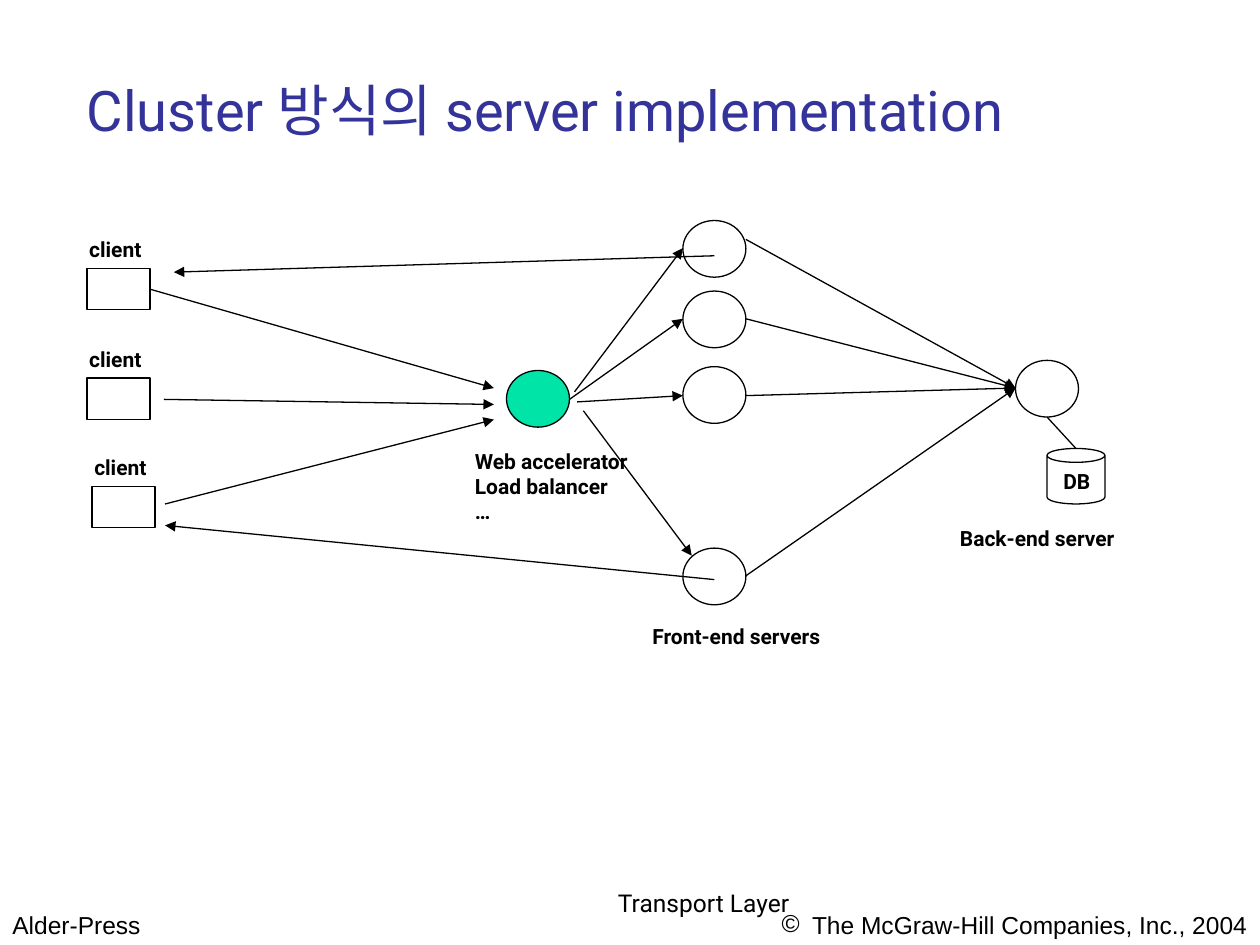
from typing import NamedTuple

from lxml import etree
from pptx import Presentation
from pptx.dml.color import RGBColor
from pptx.enum.shapes import MSO_CONNECTOR, MSO_SHAPE
from pptx.enum.text import MSO_ANCHOR, PP_ALIGN
from pptx.oxml.ns import qn
from pptx.util import Inches, Pt

RECT, ELLIPSE, CAN = MSO_SHAPE.RECTANGLE, MSO_SHAPE.OVAL, MSO_SHAPE.CAN
STRAIGHT = MSO_CONNECTOR.STRAIGHT
LEFT, CENTER, RIGHT = PP_ALIGN.LEFT, PP_ALIGN.CENTER, PP_ALIGN.RIGHT
TOP, BOTTOM = MSO_ANCHOR.TOP, MSO_ANCHOR.BOTTOM
TITLE_ONLY = 5
RIGHT_SIDE = 3

COLORS = {"ink": "000000", "title": "333399", "balancer": "00E4A8"}
LABEL = {"name": "Roboto", "size": Pt(12), "bold": True}
FOOTER = {"name": "Arial", "size": Pt(14), "bold": False}
LAYER = {"name": "Roboto", "size": Pt(14), "bold": False}
TITLE = {"name": "Roboto", "size": Pt(32), "bold": False}


class Box(NamedTuple):
    left: float
    top: float
    width: float
    height: float

    def lengths(self):
        return [Inches(v) for v in self]


class Node(NamedTuple):
    kind: MSO_SHAPE
    box: Box
    fill: str = ""


class Label(NamedTuple):
    box: Box
    lines: tuple
    font: dict = LABEL
    align: PP_ALIGN = LEFT
    anchor: MSO_ANCHOR = TOP
    wrap: bool = False
    bullet: str = ""


class Link(NamedTuple):
    start: tuple
    end: tuple
    arrow: bool = True


def circle(left: float, top: float, fill: str = "") -> Node:
    return Node(ELLIPSE, Box(left, top, 0.5, 0.45), fill)


CLIENTS = [Node(RECT, Box(left, top, 0.5, 0.33))
           for left, top in ((0.69, 2.13), (0.69, 3), (0.73, 3.86))]
SERVERS = [circle(5.42, top) for top in (1.75, 2.31, 2.91, 4.35)]
OTHER_NODES = [
    circle(4.02, 2.94, "balancer"),
    circle(8.06, 2.86),
    Node(CAN, Box(8.31, 3.56, 0.46, 0.44)),
]
LABELS = [
    Label(Box(0, 7.17, 2.42, 0.33), ("Alder-Press",), FOOTER, wrap=True),
    Label(Box(5, 7.17, 5, 0.33), ("The McGraw-Hill Companies, Inc., 2004",),
          FOOTER, RIGHT, wrap=True, bullet="©"),
    Label(Box(4, 6.83, 3.17, 0.5), ("Transport Layer",), LAYER, CENTER,
          BOTTOM, wrap=True),
    *(Label(Box(c.box.left - 0.08, c.box.top - 0.3, 0.67, 0.3), ("client",))
      for c in CLIENTS),
    Label(Box(3.67, 3.51, 1.58, 0.71),
          ("Web accelerator", "Load balancer", "…")),
    Label(Box(8.34, 3.67, 0.45, 0.3), ("DB",)),
    Label(Box(5.08, 4.9, 1.7, 0.3), ("Front-end servers",)),
    Label(Box(7.52, 4.12, 1.57, 0.3), ("Back-end server",)),
]
BACK_END = (8.06, 3.08)
FIRST_REQUEST = Link((1.19, 2.29), (3.92, 3.08))
LINKS = [
    Link((1.3, 3.17), (3.92, 3.21)),
    Link((1.31, 4), (3.92, 3.33)),
    Link((4.56, 3.11), (5.42, 1.97)),
    Link((4.52, 3.17), (5.42, 2.53)),
    Link((4.58, 3.19), (5.42, 3.14)),
    Link((4.63, 3.26), (5.49, 4.41)),
    *(Link((5.92, y), BACK_END) for y in (1.9, 2.53, 3.14, 4.57)),
    Link((5.67, 2.03), (1.38, 2.16)),
    Link((5.67, 4.6), (1.31, 4.17)),
    Link((8.31, 3.31), (8.54, 3.56), arrow=False),
]


def rgb(name: str) -> RGBColor:
    return RGBColor.from_string(COLORS[name])


def format_font(font, values: dict, color: str) -> None:
    for name, value in values.items():
        setattr(font, name, value)
    font.color.rgb = rgb(color)


def draw_line(line) -> None:
    line.color.rgb = rgb("ink")
    line.width = Pt(0.75)


def add_node(slide, node: Node):
    sp = slide.shapes.add_shape(node.kind, *node.box.lengths())
    sp.shadow.inherit = False
    draw_line(sp.line)
    if node.fill:
        sp.fill.solid()
        sp.fill.fore_color.rgb = rgb(node.fill)
    else:
        sp.fill.background()
    return sp


def add_bullet(p, char: str) -> None:
    pPr = p._p.get_or_add_pPr()
    pPr.set("marL", str(Inches(0.24)))
    pPr.set("indent", str(-Inches(0.24)))
    etree.SubElement(pPr, qn("a:buFont"), typeface="Arial")
    etree.SubElement(pPr, qn("a:buChar"), char=char)


def add_label(slide, label: Label) -> None:
    tf = slide.shapes.add_textbox(*label.box.lengths()).text_frame
    tf.word_wrap = label.wrap
    tf.vertical_anchor = label.anchor
    for i, line in enumerate(label.lines):
        p = tf.add_paragraph() if i else tf.paragraphs[0]
        p.alignment = label.align
        if label.bullet:
            add_bullet(p, label.bullet)
        r = p.add_run()
        r.text = line
        format_font(r.font, label.font, "ink")


def add_link(slide, link: Link):
    points = [Inches(v) for v in (*link.start, *link.end)]
    connector = slide.shapes.add_connector(STRAIGHT, *points)
    draw_line(connector.line)
    if link.arrow:
        ln = connector.line._get_or_add_ln()
        etree.SubElement(ln, qn("a:tailEnd"), type="triangle")
    etree.SubElement(connector._element.spPr, qn("a:effectLst"))
    return connector


def set_title(slide, text: str) -> None:
    title = slide.shapes.title
    title.left, title.top, title.width, title.height = Box(
        0.59, 0.55, 8.5, 1.25).lengths()
    tf = title.text_frame
    tf.vertical_anchor = TOP
    p = tf.paragraphs[0]
    p.alignment = LEFT
    r = p.add_run()
    r.text = text
    format_font(r.font, TITLE, "title")


def main() -> None:
    prs = Presentation()
    prs.slide_width, prs.slide_height = Inches(10), Inches(7.5)
    slide = prs.slides.add_slide(prs.slide_layouts[TITLE_ONLY])
    set_title(slide, "Cluster 방식의 server implementation")
    clients = [add_node(slide, node) for node in CLIENTS]
    for node in SERVERS + OTHER_NODES:
        add_node(slide, node)
    for label in LABELS:
        add_label(slide, label)
    add_link(slide, FIRST_REQUEST).begin_connect(clients[0], RIGHT_SIDE)
    for link in LINKS:
        add_link(slide, link)
    prs.save("out.pptx")


if __name__ == "__main__":
    main()
